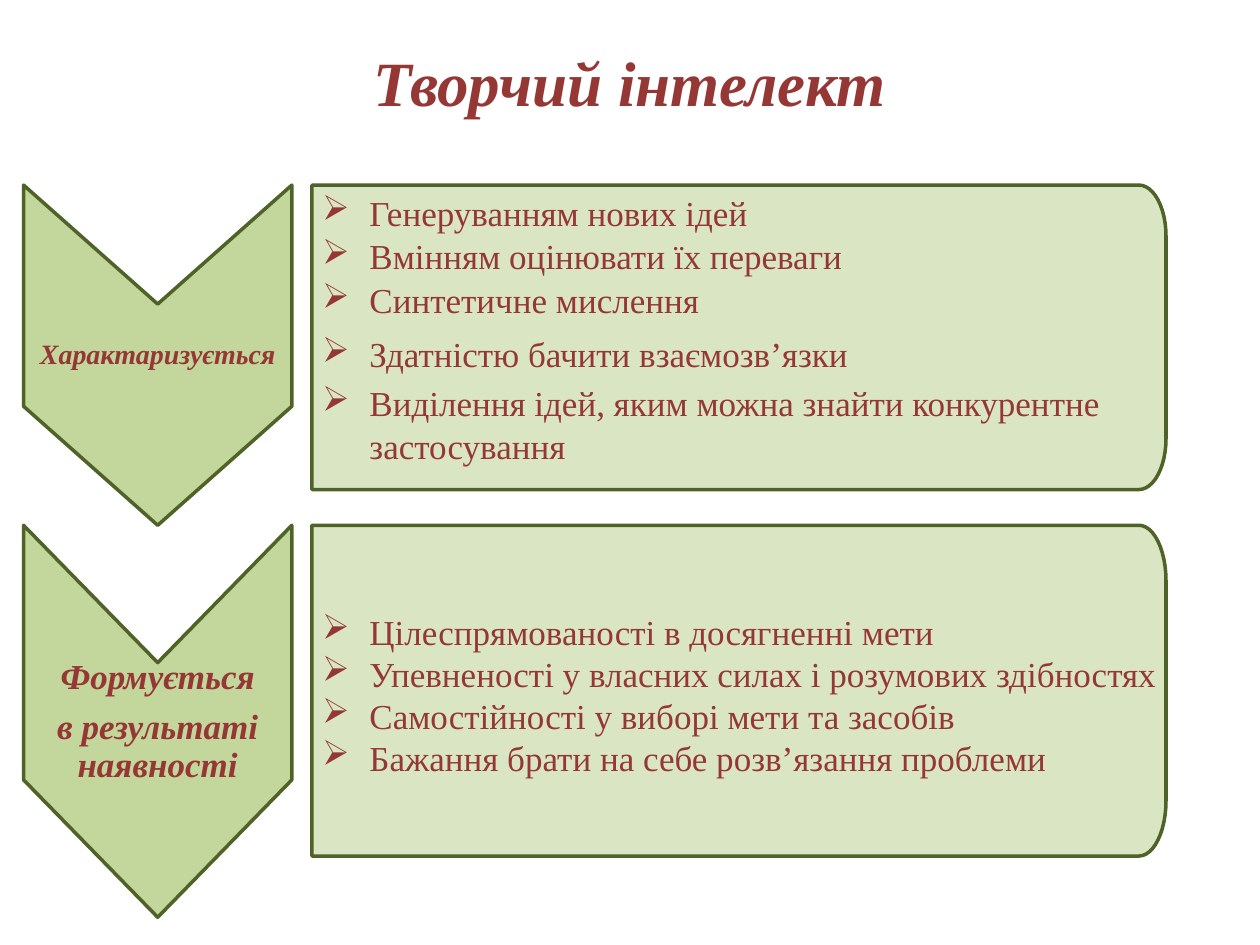
"""Build the slide on creative intelligence: two chevrons with list panels."""
from dataclasses import dataclass
from math import cos, pi, sin

from lxml.etree import SubElement
from pptx import Presentation
from pptx.dml.color import RGBColor
from pptx.enum.text import MSO_ANCHOR, PP_ALIGN
from pptx.oxml.ns import qn
from pptx.util import Pt

FONT = "Times New Roman"
TEXT = RGBColor(0x95, 0x37, 0x35)
CHEVRON = RGBColor(0xC3, 0xD6, 0x9B)
PANEL = RGBColor(0xD7, 0xE4, 0xBD)
EDGE = RGBColor(0x4F, 0x62, 0x28)

CHEVRON_LEFT, CHEVRON_WIDTH = 13.5, 153.3
PANEL_LEFT, PANEL_WIDTH, CORNER_WIDTH = 178.3, 488, 15.5
INDENT = 27


@dataclass
class Stage:
    top: float
    chevron_height: float
    notch: float
    labels: list[str]
    label_size: float
    panel_height: float
    corner_height: float
    insets: tuple[float, float]
    items: list[str]
    gaps: list[float]


STAGES = [
    Stage(105.8, 194.4, 68, ["Характаризується"], 16, 174, 29, (0, 10),
          ["Генеруванням нових ідей",
           "Вмінням оцінювати їх переваги",
           "Синтетичне мислення",
           "Здатністю бачити взаємозв’язки",
           "Виділення ідей, яким можна знайти конкурентне застосування"],
          [0, 1, 1, 7, 4]),
    Stage(300.2, 224, 78.5, ["Формується", "в результаті наявності"], 20,
          189, 31.5, (8, 4),
          ["Цілеспрямованості в досягненні мети",
           "Упевненості у власних силах і розумових здібностях",
           "Самостійності у виборі мети та засобів",
           "Бажання брати на себе розв’язання проблеми"],
          [0, 0, 0, 0]),
]


def add_text(tf, text: str, *, size: float, first: bool = True, bold: bool = False,
             align=PP_ALIGN.LEFT, bullet: str = "", before: float = 0,
             spacing: float | None = None) -> None:
    """Write one formatted paragraph into a text frame."""
    p = tf.paragraphs[0] if first else tf.add_paragraph()
    p.alignment = align
    p.space_before = Pt(before)
    if spacing:
        p.line_spacing = Pt(spacing)
    if bullet:
        pPr = p._p.get_or_add_pPr()
        pPr.set("marL", str(Pt(INDENT)))
        pPr.set("indent", str(-Pt(INDENT)))
        SubElement(pPr, qn("a:buChar")).set("char", bullet)
    r = p.add_run()
    r.text = text
    r.font.name, r.font.size = FONT, Pt(size)
    r.font.bold = r.font.italic = bold
    r.font.color.rgb = TEXT


def add_outline(s, points: list[tuple[float, float]], fill: RGBColor,
                insets: tuple[float, float, float, float]):
    """Draw a closed outline ready for text."""
    start, *rest = [(Pt(x), Pt(y)) for x, y in points]
    builder = s.shapes.build_freeform(*start)
    builder.add_line_segments(rest, close=True)
    sp = builder.convert_to_shape()
    sp.shadow.inherit = False
    sp.fill.solid()
    sp.fill.fore_color.rgb = fill
    sp.line.color.rgb, sp.line.width = EDGE, Pt(2)
    tf = sp.text_frame
    tf.word_wrap = True
    tf.vertical_anchor = MSO_ANCHOR.MIDDLE
    tf.margin_left, tf.margin_top, tf.margin_right, tf.margin_bottom = map(Pt, insets)
    return sp


def add_chevron(s, stage: Stage) -> None:
    """Draw a downward chevron with its label."""
    left, right = CHEVRON_LEFT, CHEVRON_LEFT + CHEVRON_WIDTH
    middle, top, bottom = (left + right) / 2, stage.top, stage.top + stage.chevron_height
    shoulder = bottom - stage.notch
    points = [(left, top), (middle, top + stage.notch), (right, top),
              (right, shoulder), (middle, bottom), (left, shoulder)]
    sp = add_outline(s, points, CHEVRON, (1, 42, 1, 42))
    size = stage.label_size
    for i, label in enumerate(stage.labels):
        add_text(sp.text_frame, label, size=size, first=i == 0, bold=True,
                 align=PP_ALIGN.CENTER, before=7 if i else 0, spacing=size * 1.08)


def add_panel(s, stage: Stage) -> None:
    """Draw a panel with rounded right corners and its bulleted list."""
    rx, ry = CORNER_WIDTH, stage.corner_height
    top, bottom = stage.top, stage.top + stage.panel_height
    cx = PANEL_LEFT + PANEL_WIDTH - rx
    angles = [pi / 2 * i / 12 for i in range(13)]
    upper = [(cx + rx * sin(a), top + ry - ry * cos(a)) for a in angles]
    lower = [(x, top + bottom - y) for x, y in reversed(upper)]
    points = [(PANEL_LEFT, top), *upper, *lower, (PANEL_LEFT, bottom)]
    above, below = stage.insets
    sp = add_outline(s, points, PANEL, (5.8, above, 2, below))
    color = sp._element.spPr.find(qn("a:solidFill"))[0]
    SubElement(color, qn("a:alpha")).set("val", "90000")
    for i, (item, gap) in enumerate(zip(stage.items, stage.gaps)):
        add_text(sp.text_frame, item, size=20, first=i == 0, bullet="➢",
                 before=gap, spacing=24)


def main() -> None:
    """Create and save the presentation."""
    prs = Presentation()
    prs.slide_width, prs.slide_height = Pt(720), Pt(540)
    s = prs.slides.add_slide(prs.slide_layouts[5])
    title = s.shapes.title
    title.left, title.top, title.width, title.height = map(Pt, (36, 21.6, 648, 49.7))
    title.text_frame.vertical_anchor = MSO_ANCHOR.MIDDLE
    add_text(title.text_frame, "Творчий інтелект", size=36, bold=True,
             align=PP_ALIGN.CENTER)
    for stage in STAGES:
        add_chevron(s, stage)
        add_panel(s, stage)
    prs.save("out.pptx")


if __name__ == "__main__":
    main()
